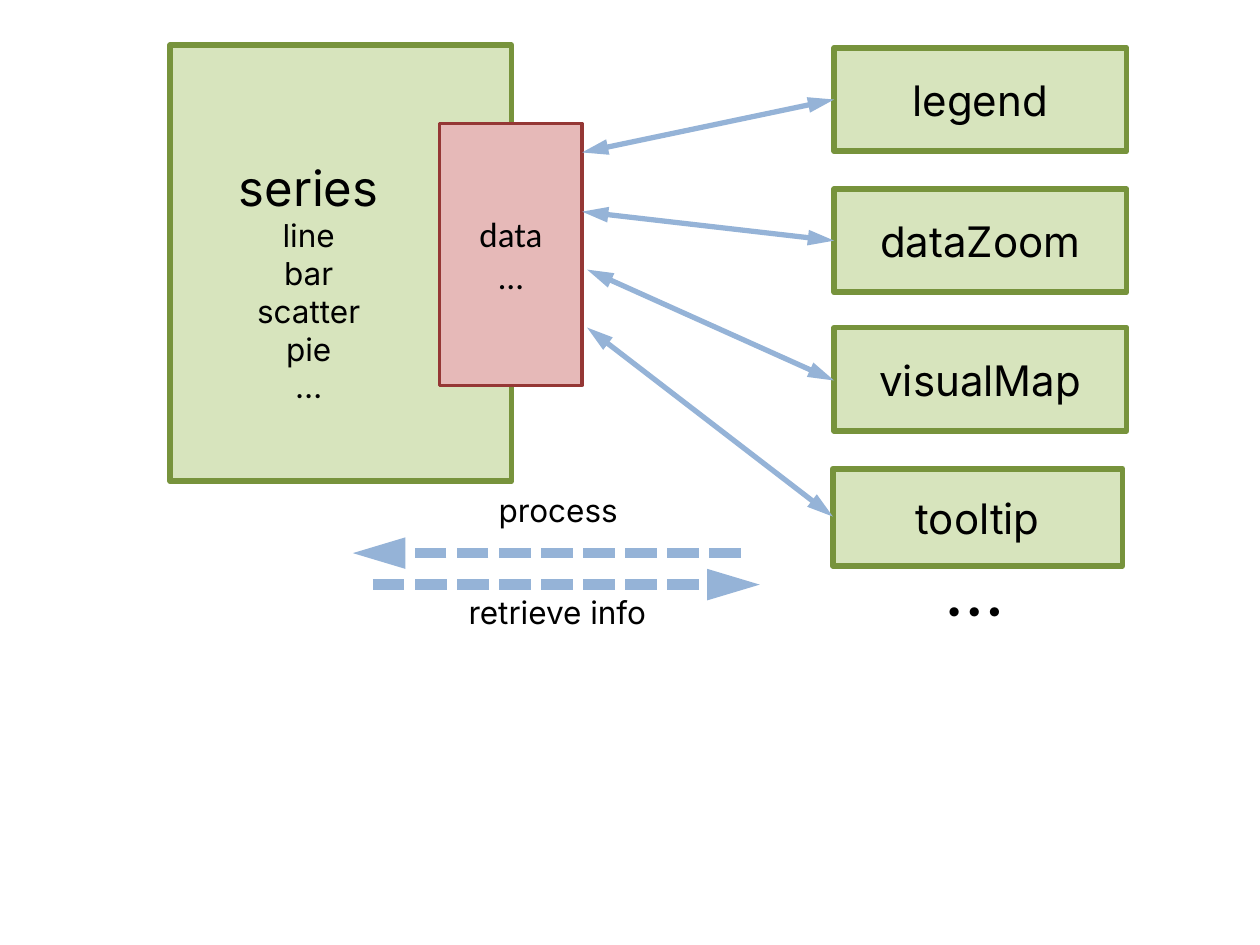
from pptx import Presentation
from pptx import util as u
from pptx.dml.color import RGBColor
from pptx.enum import dml, shapes, text
from pptx.oxml.ns import qn
from lxml import etree

RECT = shapes.MSO_SHAPE.RECTANGLE
ROUND = shapes.MSO_SHAPE.ROUNDED_RECTANGLE
CENTER = text.PP_ALIGN.CENTER
LEFT = text.PP_ALIGN.LEFT
GREEN = ("D7E4BD", "77933C", 3.25)
RED = ("E6B9B8", "953735", 1.75)
BLUE = "95B3D7"


def paint(form, color):
    form.solid()
    form.fore_color.rgb = RGBColor.from_string(color)


def apply(item, values):
    for name, value in values.items():
        setattr(item, name, value)


def write(frame, lines, font="Inter", align=CENTER, **values):
    apply(frame, {"word_wrap": True, **values})
    for i, (words, size) in enumerate(lines):
        para = frame.paragraphs[0] if i == 0 else frame.add_paragraph()
        para.alignment = align
        run = para.add_run()
        run.text = words
        apply(run.font, {"name": font, "size": u.Pt(size)})
        paint(run.font.fill, "000000")


def box(slide, place, style, lines=(), kind=RECT, font="Inter"):
    shape = slide.shapes.add_shape(kind, *map(u.Inches, place))
    fill, edge, width = style
    shape.shadow.inherit = False
    paint(shape.fill, fill)
    paint(shape.line.fill, edge)
    shape.line.width = u.Pt(width)
    if kind == ROUND:
        shape.adjustments[0] = 0
    write(shape.text_frame, lines, font, vertical_anchor=text.MSO_ANCHOR.MIDDLE)


def label(slide, place, lines, align=LEFT):
    shape = slide.shapes.add_textbox(*map(u.Inches, place))
    write(shape.text_frame, lines, align=align,
          auto_size=text.MSO_AUTO_SIZE.SHAPE_TO_FIT_TEXT)


def arrow(slide, ends, width, tips, dash=None):
    link = slide.shapes.add_connector(
        shapes.MSO_CONNECTOR.STRAIGHT, *map(u.Inches, ends))
    paint(link.line.fill, BLUE)
    apply(link.line, {"width": u.Pt(width), "dash_style": dash})
    edge = link.line._get_or_add_ln()
    for tip in tips:
        etree.SubElement(edge, qn("a:" + tip), type="triangle", w="med", len="lg")
    etree.SubElement(link._element.spPr, qn("a:effectLst"))


def main():
    deck = Presentation()
    apply(deck, {"slide_width": u.Inches(10), "slide_height": u.Inches(7.5)})
    slide = deck.slides.add_slide(deck.slide_layouts[6])

    box(slide, (1.35, 0.36, 2.71, 3.46), GREEN)
    box(slide, (3.49, 0.98, 1.13, 2.08), RED,
        [("data", 20), ("…", 20)], font="Calibri")
    kinds = ["line", "bar", "scatter", "pie", "…"]
    label(slide, (1.52, 1.2, 1.86, 2.09),
          [("series", 28)] + [(kind, 18) for kind in kinds], CENTER)

    parts = [
        ("legend", (6.62, 0.38, 2.32, 0.82), ROUND, (4.62, 1.21, 6.62, 0.79)),
        ("dataZoom", (6.62, 1.5, 2.32, 0.82), ROUND, (4.62, 1.68, 6.62, 1.91)),
        ("visualMap", (6.62, 2.6, 2.32, 0.82), ROUND, (4.66, 2.14, 6.62, 3.02)),
        ("tooltip", (6.61, 3.72, 2.3, 0.77), RECT, (4.66, 2.6, 6.61, 4.1)),
    ]
    for name, place, kind, ends in parts:
        box(slide, place, GREEN, [(name, 24)], kind)
        arrow(slide, ends, 3, ["headEnd", "tailEnd"])

    for ends in [(5.88, 4.39, 2.8, 4.39), (2.96, 4.64, 6.03, 4.64)]:
        arrow(slide, ends, 6, ["tailEnd"], dml.MSO_LINE.SQUARE_DOT)

    label(slide, (3.86, 3.85, 1.35, 0.4), [("process", 18)])
    label(slide, (3.62, 4.66, 1.88, 0.4), [("retrieve info", 18)])
    label(slide, (7.4, 4.29, 0.76, 0.77), [("…", 40)])
    deck.save("out.pptx")


main()
